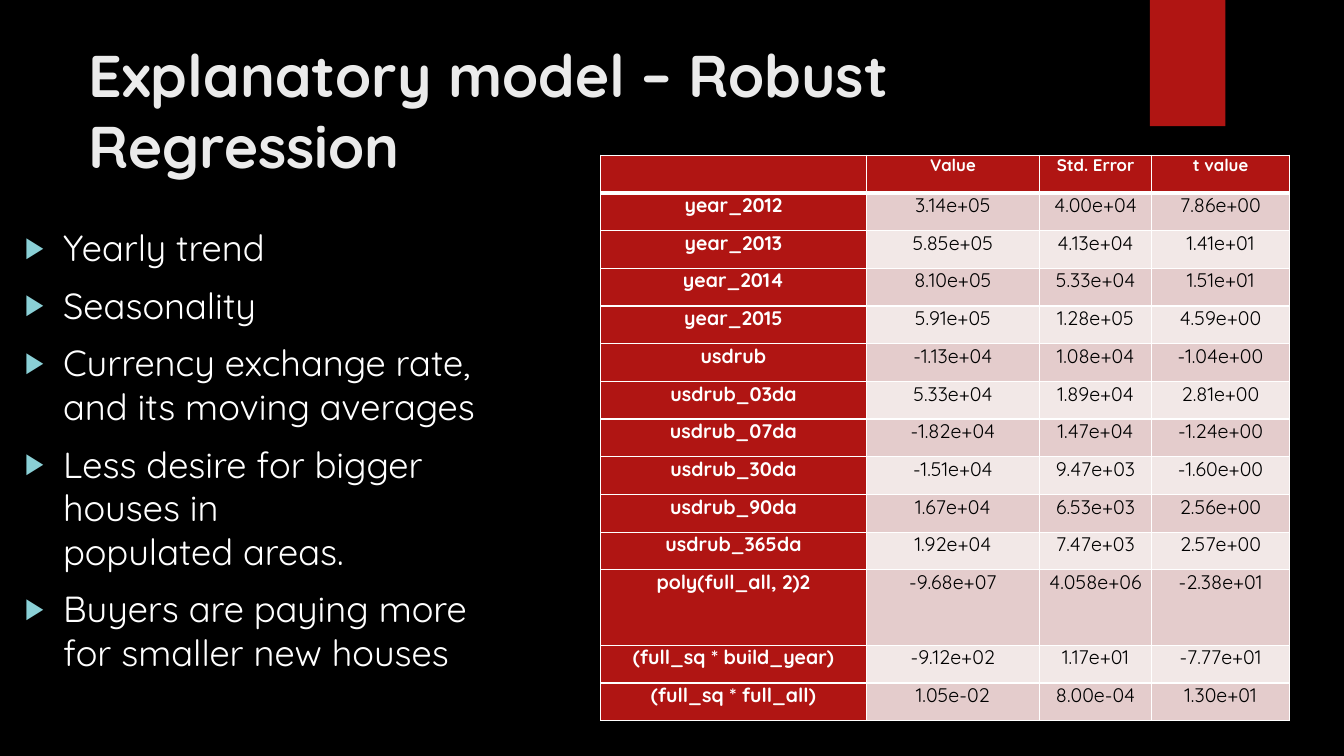
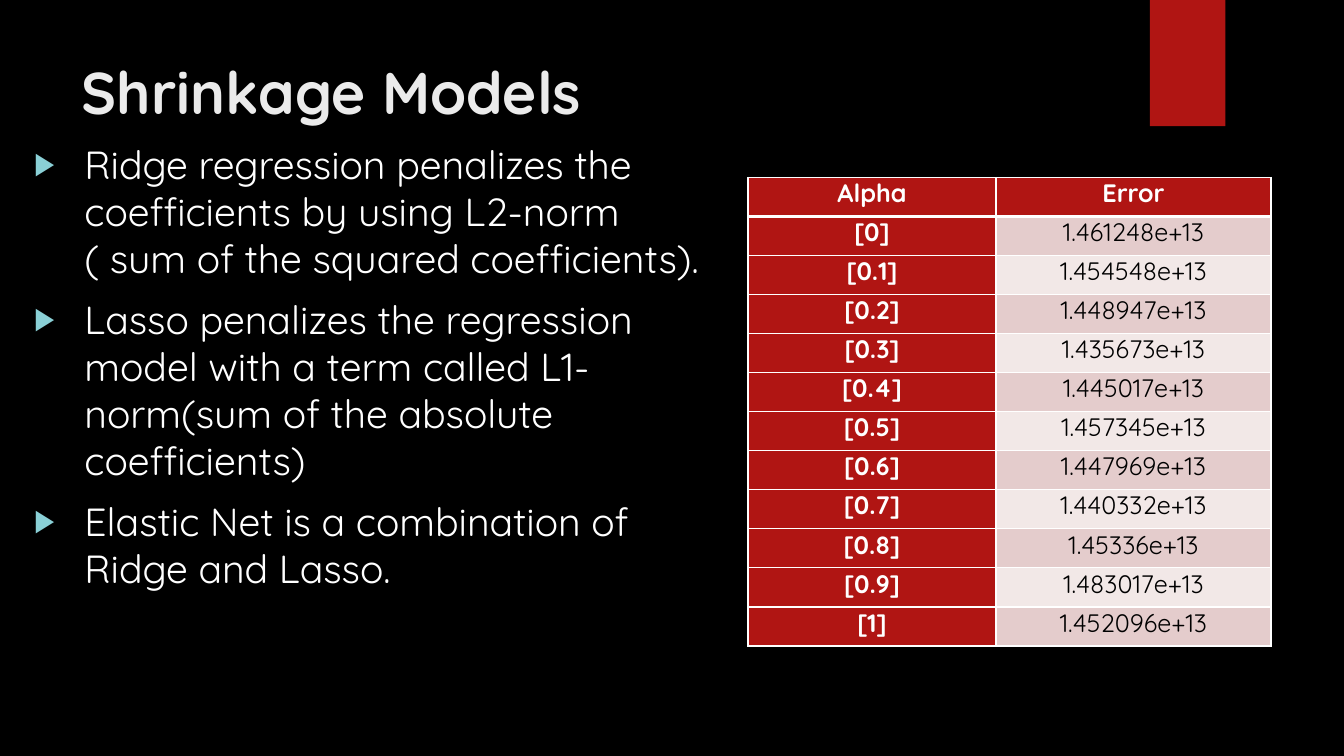
from lxml import etree
from pptx import Presentation
from pptx.dml.color import RGBColor
from pptx.enum import shapes, text
from pptx.oxml import ns
from pptx.util import Cm, Pt

FONT = "Quicksand"
BLACK, WHITE, TITLE = "000000", "FFFFFF", "EBEBEB"
RED, BULLET = "B01513", "8AD0D6"
ROW_FILLS = ["F2E8E7", "E4CCCC"]

SLIDES = [
    dict(
        title="Explanatory model – Robust Regression",
        title_box=(1.98, 0.86, 26.14, 3.89),
        body_box=(0.38, 5.56, 12.85, 11.66), body_size=25.9, indent=0.96,
        body=[
            "Yearly trend",
            "Seasonality",
            "Currency exchange rate, and its moving averages",
            "Less desire for bigger houses in\npopulated areas.",
            "Buyers are paying more for smaller new houses",
        ],
        table_at=(15.14, 3.91), table_height=14.25,
        columns=[6.69, 4.37, 2.82, 3.48],
        header_size=12, cell_size=14, tall_row=11,
        rows=[
            ("", "Value", "Std. Error", "t value"),
            ("year_2012", "3.14e+05", "4.00e+04", "7.86e+00"),
            ("year_2013", "5.85e+05", "4.13e+04", "1.41e+01"),
            ("year_2014", "8.10e+05", "5.33e+04", "1.51e+01"),
            ("year_2015", "5.91e+05", "1.28e+05", "4.59e+00"),
            ("usdrub", "-1.13e+04", "1.08e+04", "-1.04e+00"),
            ("usdrub_03da", "5.33e+04", "1.89e+04", "2.81e+00"),
            ("usdrub_07da", "-1.82e+04", "1.47e+04", "-1.24e+00"),
            ("usdrub_30da", "-1.51e+04", "9.47e+03", "-1.60e+00"),
            ("usdrub_90da", "1.67e+04", "6.53e+03", "2.56e+00"),
            ("usdrub_365da", "1.92e+04", "7.47e+03", "2.57e+00"),
            ("poly(full_all, 2)2", "-9.68e+07", "4.058e+06", "-2.38e+01"),
            ("(full_sq * build_year)", "-9.12e+02", "1.17e+01", "-7.77e+01"),
            ("(full_sq * full_all)", "1.05e-02", "8.00e-04", "1.30e+01"),
        ],
    ),
    dict(
        title="Shrinkage Models",
        title_box=(1.8, 1.27, 26.14, 1.7),
        body_box=(0.61, 3.4, 17.86, 14.12), body_size=28, indent=1.27,
        body=[
            "Ridge regression penalizes the coefficients by using L2-norm "
            "( sum of the squared coefficients).",
            "Lasso penalizes the regression model with a term called "
            "L1-norm(sum of the absolute coefficients)",
            "Elastic Net is a combination of Ridge and Lasso.",
        ],
        table_at=(18.85, 4.47), table_height=11.81,
        columns=[6.25, 6.93],
        header_size=18, cell_size=18, tall_row=None,
        rows=[
            ("Alpha", "Error"),
            ("[0]", "1.461248e+13"),
            ("[0.1]", "1.454548e+13"),
            ("[0.2]", "1.448947e+13"),
            ("[0.3]", "1.435673e+13"),
            ("[0.4]", "1.445017e+13"),
            ("[0.5]", "1.457345e+13"),
            ("[0.6]", "1.447969e+13"),
            ("[0.7]", "1.440332e+13"),
            ("[0.8]", "1.45336e+13"),
            ("[0.9]", "1.483017e+13"),
            ("[1]", "1.452096e+13"),
        ],
    ),
]


def paint(target, color):
    """Give a fill, or the font of every run in a paragraph, a hex colour."""
    target.solid()
    target.fore_color.rgb = RGBColor.from_string(color)


def format_runs(p, size, color, bold=False):
    for r in p.runs:
        r.font.name = FONT
        r.font.size = Pt(size)
        r.font.bold = bold
        paint(r.font.fill, color)


prs = Presentation()
prs.slide_width, prs.slide_height = Cm(33.87), Cm(19.05)
paint(prs.slide_master.background.fill, BLACK)
layout = prs.slide_layouts[5]

for spec_ in SLIDES:
    s = prs.slides.add_slide(layout)

    # Title
    sp = s.shapes.title
    sp.left, sp.top, sp.width, sp.height = map(Cm, spec_["title_box"])
    tf = sp.text_frame
    tf.text = spec_["title"]
    tf.vertical_anchor = text.MSO_ANCHOR.TOP
    tf.auto_size = text.MSO_AUTO_SIZE.NONE
    tf.paragraphs[0].alignment = text.PP_ALIGN.LEFT
    format_runs(tf.paragraphs[0], 42, TITLE, bold=True)

    # Bulleted text
    tf = s.shapes.add_textbox(*map(Cm, spec_["body_box"])).text_frame
    tf.word_wrap = True
    for i, line in enumerate(spec_["body"]):
        p = tf.paragraphs[0] if i == 0 else tf.add_paragraph()
        p.text = line
        p.space_before = Pt(10)
        format_runs(p, spec_["body_size"], WHITE)
        pPr = p._p.get_or_add_pPr()
        pPr.set("marL", str(Cm(spec_["indent"])))
        pPr.set("indent", str(-Cm(spec_["indent"])))
        buClr = etree.SubElement(pPr, ns.qn("a:buClr"))
        etree.SubElement(buClr, ns.qn("a:srgbClr"), val=BULLET)
        etree.SubElement(pPr, ns.qn("a:buSzPct"), val="80000")
        etree.SubElement(pPr, ns.qn("a:buFont"), typeface="Arial")
        etree.SubElement(pPr, ns.qn("a:buChar"), char="▶")

    # Table: a tall row takes the height of two
    rows, columns = spec_["rows"], spec_["columns"]
    units = [2 if i == spec_["tall_row"] else 1 for i in range(len(rows))]
    table = s.shapes.add_table(
        len(rows), len(columns), *map(Cm, spec_["table_at"]),
        Cm(sum(columns)), Cm(spec_["table_height"])).table
    for column, width in zip(table.columns, columns):
        column.width = Cm(width)
    for i, values in enumerate(rows):
        table.rows[i].height = Cm(spec_["table_height"] * units[i] / sum(units))
        for j, value in enumerate(values):
            cell = table.cell(i, j)
            cell.margin_left = cell.margin_right = Cm(0.18)
            cell.margin_top = cell.margin_bottom = 0
            thick = {0: "lnB", 1: "lnT"}.get(i)
            for side in ("lnL", "lnR", "lnT", "lnB"):
                ln = etree.SubElement(cell._tc.get_or_add_tcPr(), ns.qn("a:" + side),
                                      w=str(Pt(3 if side == thick else 1)))
                fill = etree.SubElement(ln, ns.qn("a:solidFill"))
                etree.SubElement(fill, ns.qn("a:srgbClr"), val=WHITE)
            heading = i == 0 or j == 0
            paint(cell.fill, RED if heading else ROW_FILLS[i % 2])
            cell.text_frame.text = value
            p = cell.text_frame.paragraphs[0]
            p.alignment = text.PP_ALIGN.CENTER
            format_runs(p, spec_["header_size"] if i == 0 else spec_["cell_size"],
                        WHITE if heading else BLACK, bold=heading)

# The red band is drawn once and moved to the layout, so every slide shows it
band = s.shapes.add_shape(shapes.MSO_SHAPE.RECTANGLE,
                          Cm(28.98), 0, Cm(1.9), Cm(3.18))
band.shadow.inherit = False
paint(band.fill, RED)
band.line.fill.background()
layout.shapes._spTree.append(band._element)

prs.save("out.pptx")
